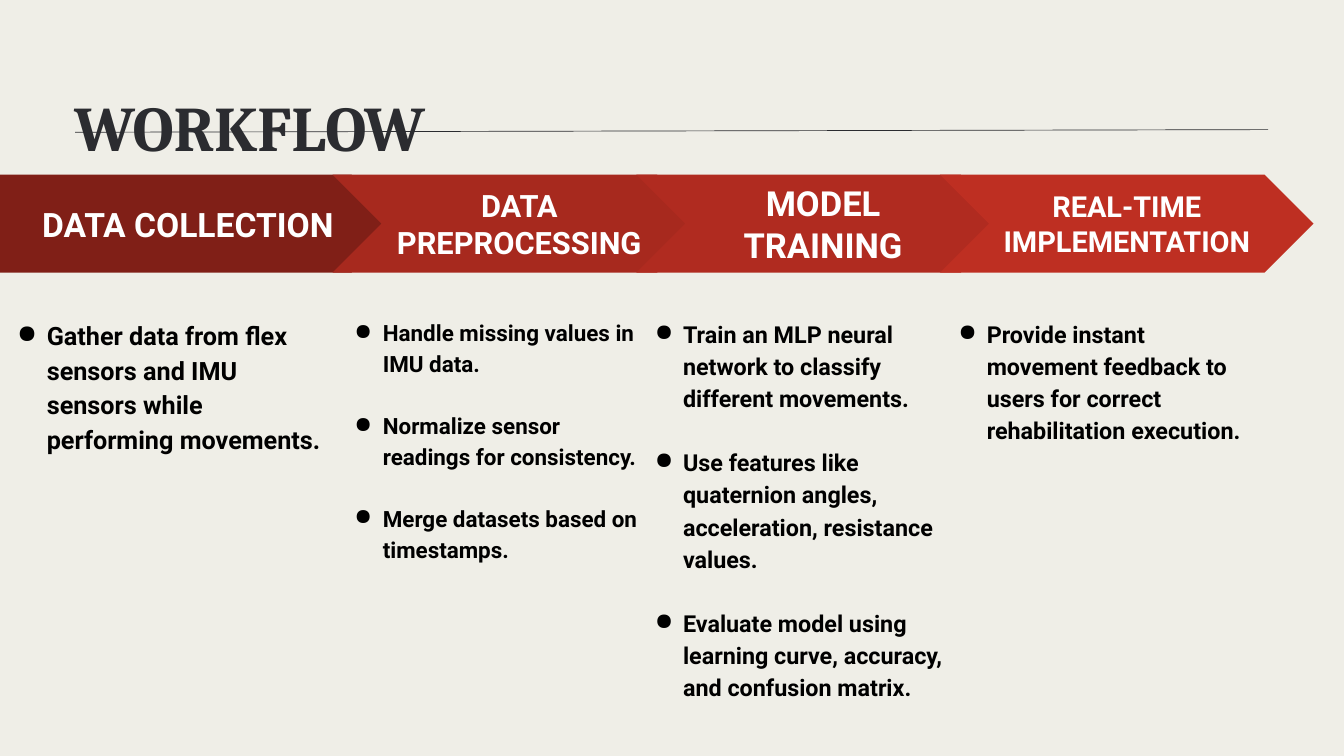
from dataclasses import dataclass

from lxml.etree import SubElement
from pptx import Presentation
from pptx.dml.color import RGBColor as Rgb
from pptx.enum.shapes import MSO_CONNECTOR as Link, MSO_SHAPE as Kind
from pptx.enum.text import MSO_ANCHOR as Anchor, MSO_AUTO_SIZE as Fit, PP_ALIGN as Align
from pptx.oxml.ns import qn
from pptx.shapes.connector import Connector
from pptx.slide import Slide
from pptx.text.text import TextFrame
from pptx.util import Cm, Pt


@dataclass(frozen=True)
class Theme:
    paper: str = "EFEEE7"
    ink: str = "2B2C30"
    body: str = "000000"
    light: str = "FFFFFF"
    head: str = "Cambria"
    sans: str = "Roboto"
    title: float = 68.1
    rule: float = 0.75
    lead: float = 1.15
    gap: float = 1.38  # one empty line, as a multiple of the type size


@dataclass(frozen=True)
class Step:
    name: str
    size: int
    fill: str
    left: float
    width: float
    note_left: float
    note_width: float
    note_size: int
    hang: float
    notes: tuple[str, ...]


THEME = Theme()
BAND_TOP, BAND_TALL = 6.6, 3.71
NOTE_TOP, NOTE_TALL = 11.43, 14.53
FIRST, PITCH, WIDE = 12.57, 11.48, 14.12
INSET, INDENT = 0.5, 1.27

STEPS = (
    Step("DATA COLLECTION", 36, "801F17", 0, 15.14, 0, 12.88, 27, 1.12,
         ("Gather data from flex sensors and IMU sensors while performing movements.",)),
    Step("DATA PREPROCESSING", 33, "A7291E", FIRST, WIDE, 12.7, 11.89, 24, 1.07,
         ("Handle missing values in IMU data.",
          "Normalize sensor readings for consistency.",
          "Merge datasets based on timestamps.")),
    Step("MODEL TRAINING", 37, "B02B20", FIRST + PITCH, WIDE, FIRST + PITCH, 12.17, 25, 1.07,
         ("Train an MLP neural network to classify different movements.",
          "Use features like quaternion angles, acceleration, resistance values.",
          "Evaluate model using learning curve, accuracy, and confusion matrix.")),
    Step("REAL-TIME IMPLEMENTATION", 31, "BE2F22", FIRST + 2 * PITCH, WIDE,
         FIRST + 2 * PITCH, 12.34, 25, 1.07,
         ("Provide instant movement feedback to users for correct rehabilitation execution.",)),
)


def write(frame: TextFrame, *lines: str, size: float, font: str, color: str,
          align: Align = Align.LEFT, anchor: Anchor = Anchor.TOP,
          inset: float = INSET, lead: float = 1.0, hang: float = 0) -> None:
    """Fill a frame with bold paragraphs; a hang above zero makes them bullets."""
    frame.word_wrap = True
    frame.vertical_anchor = anchor
    frame.margin_left = frame.margin_right = Cm(inset)
    frame.margin_top = frame.margin_bottom = Cm(inset)
    for i, line in enumerate(lines):
        para = frame.add_paragraph() if i else frame.paragraphs[0]
        if hang:
            props = para._p.get_or_add_pPr()
            props.set("marL", str(Cm(INDENT)))
            props.set("indent", str(-Cm(hang)))
            tint = SubElement(props, qn("a:buClr"))
            SubElement(tint, qn("a:srgbClr")).set("val", color)
            SubElement(props, qn("a:buChar")).set("char", "●")
        para.alignment = align
        para.line_spacing = lead
        if i:
            para.space_before = Pt(size * THEME.gap)
        run = para.add_run()
        run.text = line
        run.font.size = Pt(size)
        run.font.name = font
        run.font.bold = True
        run.font.color.rgb = Rgb.from_string(color)


def draw_title(slide: Slide) -> None:
    box = slide.shapes.add_textbox(Cm(2.8), Cm(2.16), Cm(45.08), Cm(2.92))
    write(box.text_frame, "WORKFLOW", size=THEME.title, font=THEME.head,
          color=THEME.ink, inset=0, lead=1.4)
    box.text_frame.auto_size = Fit.SHAPE_TO_FIT_TEXT


def draw_rule(slide: Slide) -> Connector:
    rule = slide.shapes.add_connector(Link.STRAIGHT, Cm(2.84), Cm(5), Cm(47.93), Cm(4.9))
    rule.line.color.rgb = Rgb.from_string(THEME.ink)
    rule.line.width = Pt(THEME.rule)
    SubElement(rule._element.spPr, qn("a:effectLst"))
    return rule


def draw_step(slide: Slide, step: Step, kind: Kind) -> None:
    """Group a band arrow with the notes below it."""
    group = slide.shapes.add_group_shape().shapes
    band = group.add_shape(kind, Cm(step.left), Cm(BAND_TOP), Cm(step.width), Cm(BAND_TALL))
    band.shadow.inherit = False
    band.fill.solid()
    band.fill.fore_color.rgb = Rgb.from_string(step.fill)
    band.line.fill.background()
    write(band.text_frame, step.name, size=step.size, font=THEME.sans,
          color=THEME.light, align=Align.CENTER, anchor=Anchor.MIDDLE)
    box = group.add_textbox(Cm(step.note_left), Cm(NOTE_TOP),
                            Cm(step.note_width), Cm(NOTE_TALL))
    write(box.text_frame, *step.notes, size=step.note_size, font=THEME.sans,
          color=THEME.body, lead=THEME.lead, hang=step.hang)


def main() -> None:
    deck = Presentation()
    deck.slide_width, deck.slide_height = Cm(50.8), Cm(28.58)
    slide = deck.slides.add_slide(deck.slide_layouts[6])
    slide.background.fill.solid()
    slide.background.fill.fore_color.rgb = Rgb.from_string(THEME.paper)
    draw_title(slide)
    draw_rule(slide)
    for i, step in enumerate(STEPS):
        draw_step(slide, step, Kind.CHEVRON if i else Kind.PENTAGON)
    deck.save("out.pptx")


if __name__ == "__main__":
    main()
